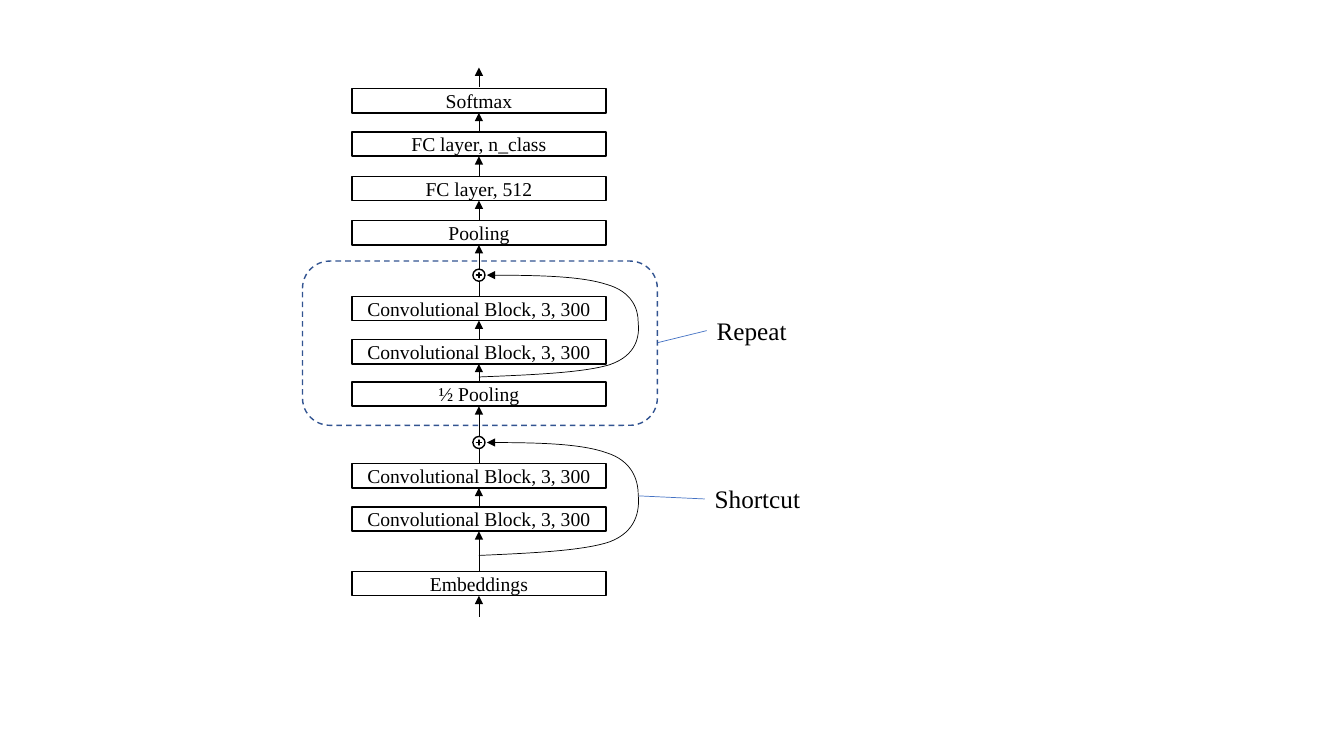
"""Build a slide of stacked layer boxes with arrows, Repeat and Shortcut labels."""
from itertools import pairwise

from lxml import etree
from pptx import Presentation
from pptx.dml.color import RGBColor
from pptx.enum.dml import MSO_LINE
from pptx.enum.shapes import MSO_CONNECTOR, MSO_SHAPE
from pptx.enum.text import MSO_ANCHOR, PP_ALIGN
from pptx.oxml.ns import qn
from pptx.util import Inches, Pt

RECT, ROUND = MSO_SHAPE.RECTANGLE, MSO_SHAPE.ROUNDED_RECTANGLE
OVAL, CROSS = MSO_SHAPE.OVAL, MSO_SHAPE.CROSS
STRAIGHT, DASH = MSO_CONNECTOR.STRAIGHT, MSO_LINE.DASH
MIDDLE, CENTER = MSO_ANCHOR.MIDDLE, PP_ALIGN.CENTER
COLORS = {"ink": "000000", "paper": "FFFFFF", "accent": "4472C4", "frame": "325491"}
FONT = "Times New Roman"

prs = Presentation()
prs.slide_width, prs.slide_height = Inches(13.33), Inches(7.5)
COL, ROW = prs.slide_width / 1333, prs.slide_height / 750
s = prs.slides.add_slide(prs.slide_layouts[6])


def stroke(sp, color, width, arrow=False):
    sp.line.color.rgb = RGBColor.from_string(COLORS[color])
    sp.line.width = Pt(width)
    spPr = sp._element.spPr
    if arrow:
        etree.SubElement(spPr.find(qn("a:ln")), qn("a:tailEnd"), type="triangle")
    etree.SubElement(spPr, qn("a:effectLst"))


def add_shape(kind, x, y, w, h, line="ink", fill=None):
    sp = s.shapes.add_shape(kind, int(x * COL), int(y * ROW), int(w * COL), int(h * ROW))
    if fill:
        sp.fill.solid()
        sp.fill.fore_color.rgb = RGBColor.from_string(COLORS[fill])
    else:
        sp.fill.background()
    stroke(sp, line, 1)
    return sp


LEFT, BOX_W, BOX_H = 349, 252, 24
MID = LEFT + BOX_W / 2
CONV = "Convolutional Block, 3, 300"
layers = [
    (567, "Embeddings"), (503, CONV), (460, CONV),
    (379, "½ Pooling"), (337, CONV), (294, CONV),
    (219, "Pooling"), (175, "FC layer, 512"), (131, "FC layer, n_class"), (88, "Softmax"),
]
for top, name in layers:
    tf = add_shape(RECT, LEFT, top, BOX_W, BOX_H).text_frame
    tf.margin_left = tf.margin_right = tf.margin_top = tf.margin_bottom = 0
    tf.vertical_anchor = MIDDLE
    p = tf.paragraphs[0]
    p.text, p.alignment = name, CENTER
    p.font.name, p.font.size = FONT, Pt(14)
    p.font.color.rgb = RGBColor.from_string(COLORS["ink"])

lines = [(MID, low, MID, high + BOX_H, "ink") for (low, _), (high, _) in pairwise(layers)]
lines += [
    (MID, 612, MID, 591, "ink"), (MID, 86, MID, 67, "ink"),
    (652, 340, 701, 328, "accent"), (634, 492, 699, 495, "accent"),
]
for x1, y1, x2, y2, color in lines:
    cx = s.shapes.add_connector(STRAIGHT, int(x1 * COL), int(y1 * ROW), int(x2 * COL), int(y2 * ROW))
    stroke(cx, color, 0.5, arrow=color == "ink")

add_shape(ROUND, 300, 259, 352, 163, "frame").line.dash_style = DASH

CURVE_W = 158
curve = [
    (0, 1), (0.32, 0.98), (0.65, 0.96), (0.82, 0.88), (0.99, 0.79), (1.01, 0.6), (1, 0.46),
    (1, 0.33), (0.96, 0.16), (0.8, 0.09), (0.64, 0.01), (0.35, 0), (0.05, 0),
]
for sum_y, curve_h in ((439, 112), (273, 101)):
    add_shape(OVAL, MID - 6, sum_y - 6, 12, 12, fill="paper")
    add_shape(CROSS, MID - 2.5, sum_y - 2.5, 5, 5, fill="accent").adjustments[0] = 0.5
    points = [((MID + x * CURVE_W) * COL, (sum_y + y * curve_h) * ROW) for x, y in curve]
    fb = s.shapes.build_freeform(*points[0])
    fb.add_line_segments(points[1:], close=False)
    sp = fb.convert_to_shape()
    sp.fill.background()
    stroke(sp, "ink", 0.5, arrow=True)
    outline = sp._element.find(".//" + qn("a:path"))
    segments = outline.findall(qn("a:lnTo"))
    for i in range(0, len(segments), 3):
        bezier = etree.SubElement(outline, qn("a:cubicBezTo"))
        for segment in segments[i:i + 3]:
            bezier.append(segment[0])
            outline.remove(segment)

for x, y, w, label in ((701, 308, 95, "Repeat"), (699, 475, 106, "Shortcut")):
    tf = s.shapes.add_textbox(int(x * COL), int(y * ROW), int(w * COL), int(40 * ROW)).text_frame
    tf.word_wrap = True
    p = tf.paragraphs[0]
    p.text = label
    p.font.name, p.font.size = FONT, Pt(18)
    p.font.color.rgb = RGBColor.from_string(COLORS["ink"])

prs.save("out.pptx")
